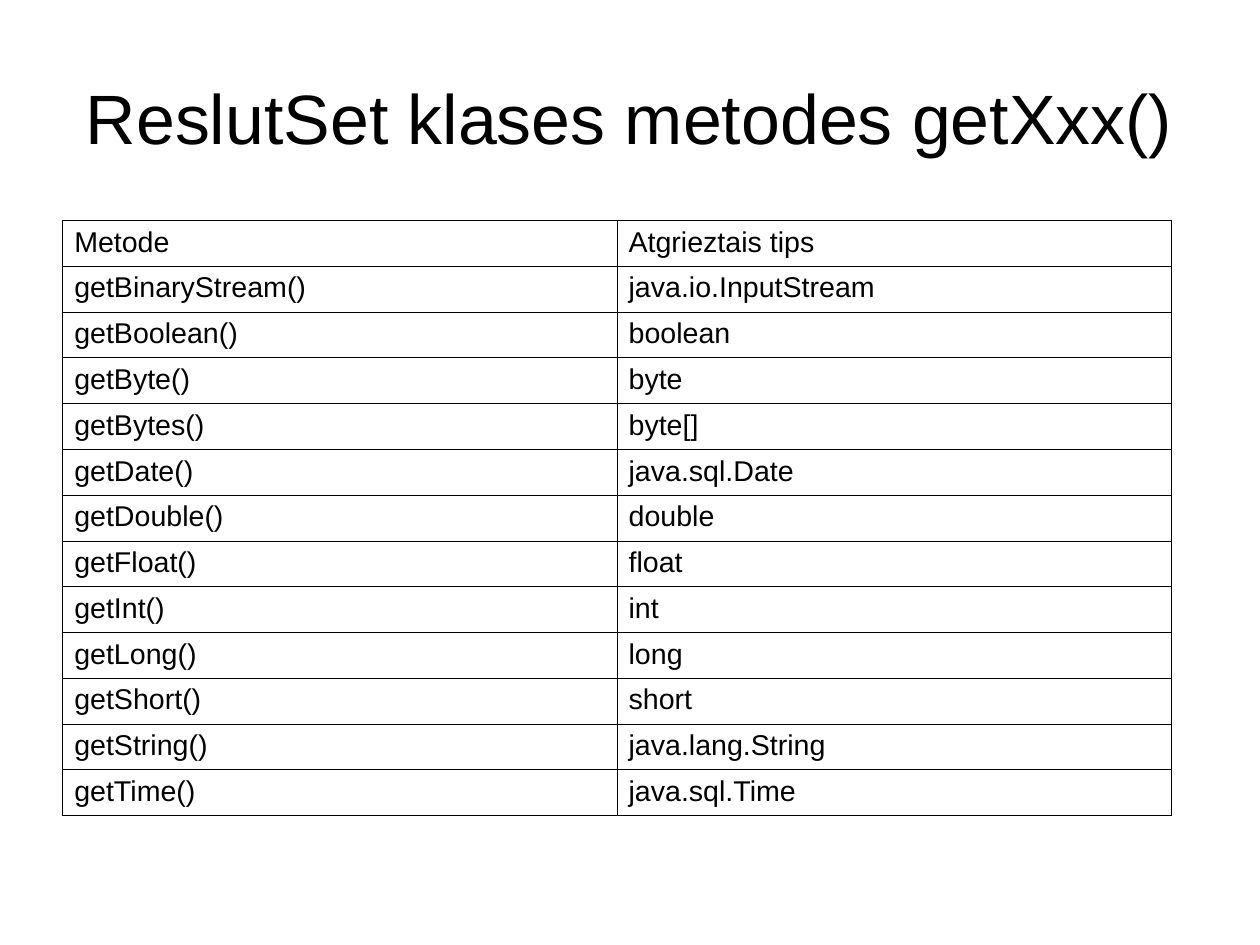
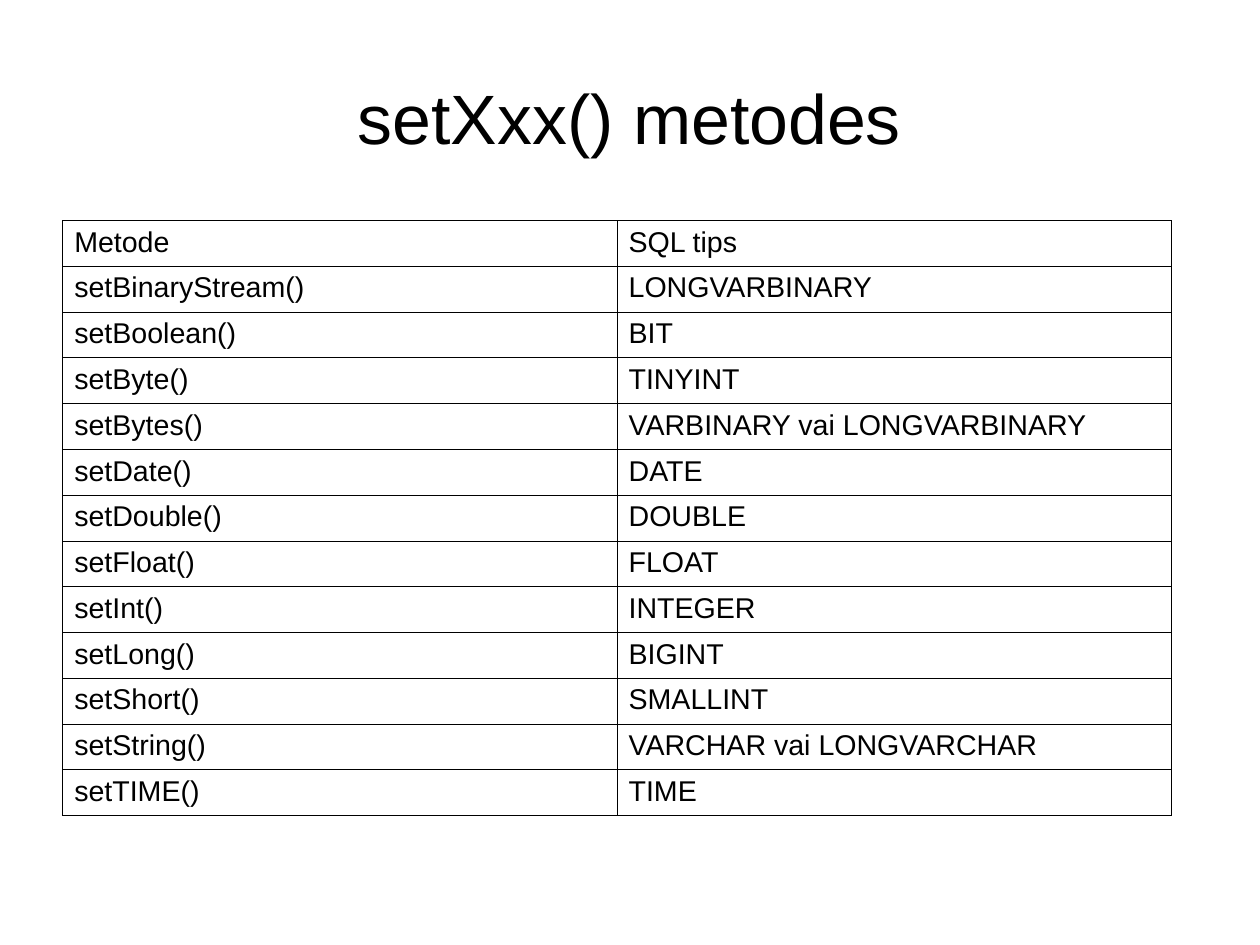
from dataclasses import dataclass

import lxml.etree
import pptx
import pptx.dml.color
import pptx.enum.text
import pptx.oxml.ns
import pptx.slide
import pptx.table
import pptx.text.text
import pptx.util
from pptx.util import Inches


@dataclass(frozen=True)
class Theme:
    font: str = "Arial"
    ink: str = "000000"
    paper: str = "FFFFFF"
    title_size: float = 44
    cell_size: float = 18
    border_width: float = 0.57


@dataclass(frozen=True)
class MethodSlide:
    title: str
    rows: tuple[tuple[str, str], ...]


THEME = Theme()
BLANK_LAYOUT = 6
CENTIMETRES_PER_INCH = 2.54
SLIDE_WIDTH = 28 / CENTIMETRES_PER_INCH
SLIDE_HEIGHT = 21 / CENTIMETRES_PER_INCH
LEFT = 0.55
COLUMN_WIDTH = 4.85
ROW_HEIGHT = 0.4

METHOD_SLIDES = (
    MethodSlide(
        "ReslutSet klases metodes getXxx()",
        (
            ("Metode", "Atgrieztais tips"),
            ("getBinaryStream()", "java.io.InputStream"),
            ("getBoolean()", "boolean"),
            ("getByte()", "byte"),
            ("getBytes()", "byte[]"),
            ("getDate()", "java.sql.Date"),
            ("getDouble()", "double"),
            ("getFloat()", "float"),
            ("getInt()", "int"),
            ("getLong()", "long"),
            ("getShort()", "short"),
            ("getString()", "java.lang.String"),
            ("getTime()", "java.sql.Time"),
        ),
    ),
    MethodSlide(
        "setXxx() metodes",
        (
            ("Metode", "SQL tips"),
            ("setBinaryStream()", "LONGVARBINARY"),
            ("setBoolean()", "BIT"),
            ("setByte()", "TINYINT"),
            ("setBytes()", "VARBINARY vai LONGVARBINARY"),
            ("setDate()", "DATE"),
            ("setDouble()", "DOUBLE"),
            ("setFloat()", "FLOAT"),
            ("setInt()", "INTEGER"),
            ("setLong()", "BIGINT"),
            ("setShort()", "SMALLINT"),
            ("setString()", "VARCHAR vai LONGVARCHAR"),
            ("setTIME()", "TIME"),
        ),
    ),
)


def color(value: str) -> pptx.dml.color.RGBColor:
    return pptx.dml.color.RGBColor.from_string(value)


def write(frame: pptx.text.text.TextFrame, text: str, size: float) -> None:
    frame.text = text
    paragraph = frame.paragraphs[0]
    paragraph.font.name = THEME.font
    paragraph.font.size = pptx.util.Pt(size)
    paragraph.font.color.rgb = color(THEME.ink)


def add_title(slide: pptx.slide.Slide, text: str) -> None:
    shape = slide.shapes.add_textbox(Inches(LEFT), Inches(0.33), Inches(9.92), Inches(1.38))
    frame = shape.text_frame
    frame.word_wrap = True
    frame.vertical_anchor = pptx.enum.text.MSO_ANCHOR.MIDDLE
    frame.margin_left = frame.margin_top = frame.margin_right = frame.margin_bottom = 0
    write(frame, text, THEME.title_size)
    frame.paragraphs[0].alignment = pptx.enum.text.PP_ALIGN.CENTER


def add_borders(cell: pptx.table._Cell) -> None:
    qualified = pptx.oxml.ns.qn
    properties = cell._tc.get_or_add_tcPr()
    width = str(int(pptx.util.Pt(THEME.border_width)))
    for edge in ("a:lnL", "a:lnR", "a:lnT", "a:lnB"):
        line = lxml.etree.SubElement(properties, qualified(edge), w=width)
        fill = lxml.etree.SubElement(line, qualified("a:solidFill"))
        lxml.etree.SubElement(fill, qualified("a:srgbClr"), val=THEME.ink)


def add_method_table(slide: pptx.slide.Slide, rows: tuple[tuple[str, str], ...]) -> None:
    column_count = len(rows[0])
    table = slide.shapes.add_table(
        len(rows), column_count, Inches(LEFT), Inches(1.93),
        Inches(COLUMN_WIDTH * column_count), Inches(ROW_HEIGHT * len(rows)),
    ).table
    table.first_row = False
    table.horz_banding = False
    for row_index, row in enumerate(rows):
        for column_index, text in enumerate(row):
            cell = table.cell(row_index, column_index)
            add_borders(cell)
            cell.fill.solid()
            cell.fill.fore_color.rgb = color(THEME.paper)
            write(cell.text_frame, text, THEME.cell_size)


def main() -> None:
    presentation = pptx.Presentation()
    presentation.slide_width = Inches(SLIDE_WIDTH)
    presentation.slide_height = Inches(SLIDE_HEIGHT)
    for content in METHOD_SLIDES:
        slide = presentation.slides.add_slide(presentation.slide_layouts[BLANK_LAYOUT])
        add_title(slide, content.title)
        add_method_table(slide, content.rows)
    presentation.save("out.pptx")


if __name__ == "__main__":
    main()
